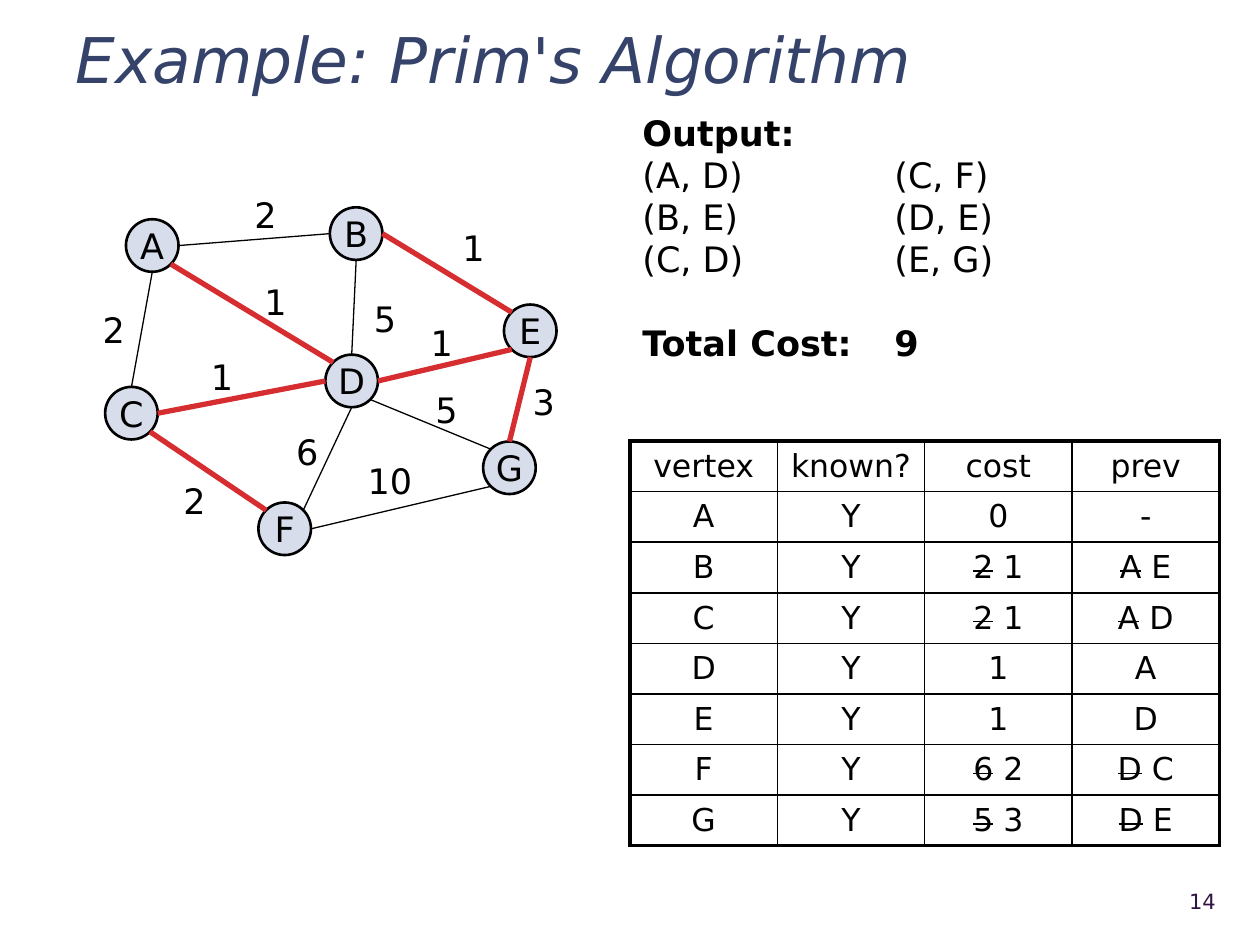
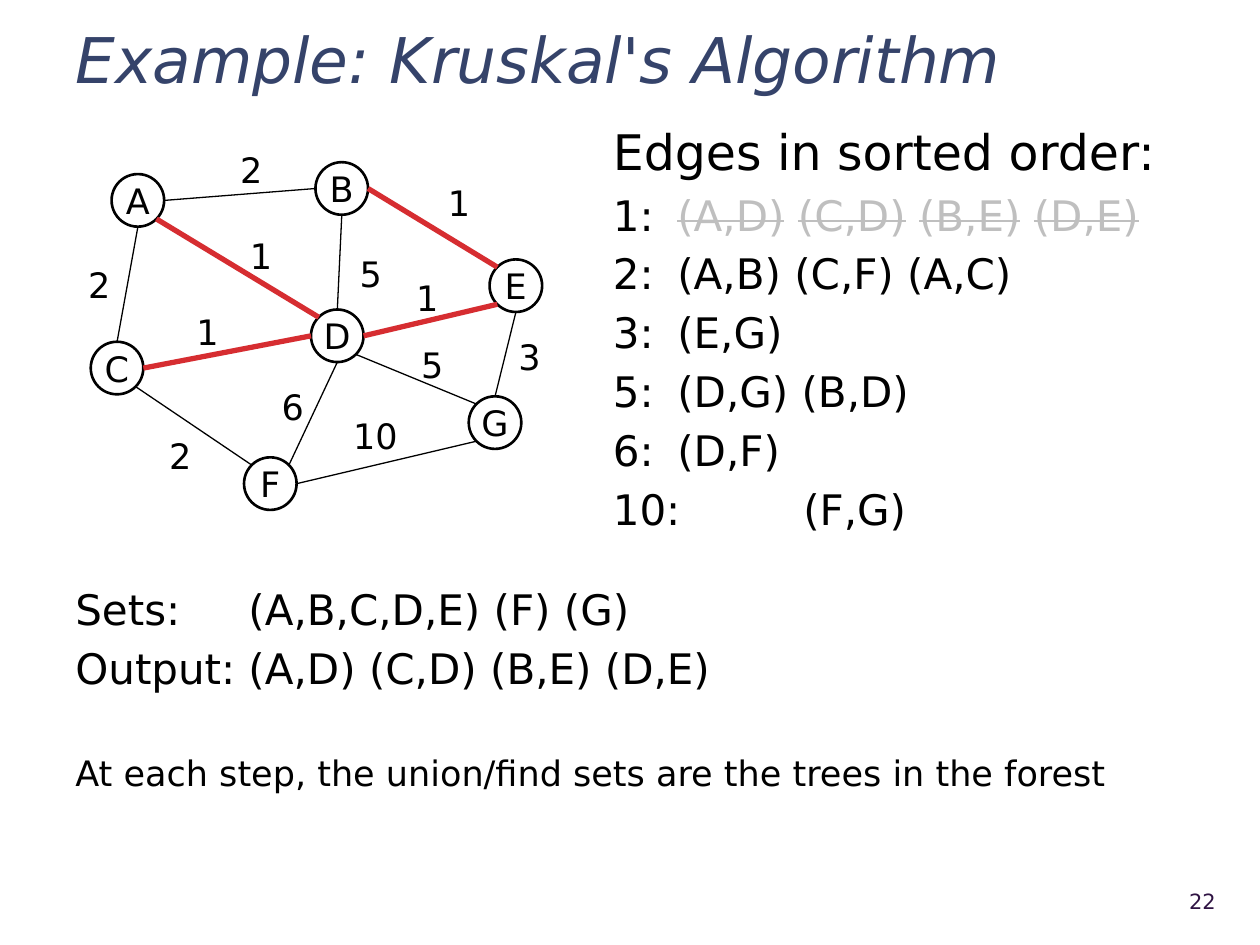
import math

from lxml import etree
from pptx import Presentation
from pptx import util as u
from pptx.dml.color import RGBColor
from pptx.enum import shapes, text
from pptx.oxml.ns import qn

FONT = "DejaVu Sans"
BLACK, TITLE_BLUE, NUMBER_PURPLE = "000000", "35436A", "2F1343"
NODE_BLUE, TREE_RED, DONE_GREY = "D7DDEB", "D62D31", "BFBFBF"
TITLE_ONLY, TITLE_AND_BODY = 5, 1
LEFT, CENTER, RIGHT = text.PP_ALIGN.LEFT, text.PP_ALIGN.CENTER, text.PP_ALIGN.RIGHT

# The weighted graph that both slides show, in cm.
NODE_SIZE = 1.06
NODES = {
    "A": (2.54, 4.42), "B": (6.65, 4.18), "C": (2.12, 7.8), "D": (6.56, 7.15),
    "E": (10.16, 6.14), "F": (5.21, 10.13), "G": (9.74, 8.9),
}
# Edge, circle sites at its ends (0 top, then anticlockwise by 45°), weight, weight position
EDGES = [
    ("AB", 6, 2, 2, (4.88, 3.78)),
    ("AC", 4, 0, 2, (1.82, 6.1)),
    ("AD", 5, 1, 1, (5.08, 5.52)),
    ("BD", 4, 0, 5, (7.29, 5.87)),
    ("BE", 6, 1, 1, (9.07, 4.45)),
    ("CD", 6, 2, 1, (4, 7.04)),
    ("CF", 5, 1, 2, (3.45, 9.55)),
    ("DE", 6, 3, 1, (8.43, 6.35)),
    ("DF", 4, 7, 6, (5.72, 8.56)),
    ("DG", 5, 1, 5, (8.53, 7.7)),
    ("EG", 4, 0, 3, (10.49, 7.54)),
    ("FG", 6, 3, 10, (7.16, 9.14)),
]

# Text between tildes is struck through.
PRIM_ROWS = [
    ("vertex", "known?", "cost", "prev"),
    ("A", "Y", "0", "-"),
    ("B", "Y", "~2~ 1", "~A~ E"),
    ("C", "Y", "~2~ 1", "~A~ D"),
    ("D", "Y", "1", "A"),
    ("E", "Y", "1", "D"),
    ("F", "Y", "~6~ 2", "~D~ C"),
    ("G", "Y", "~5~ 3", "~D~ E"),
]
PRIM_OUTPUT = ["Output:", "(A, D)\t\t(C, F)", "(B, E)\t\t(D, E)", "(C, D)\t\t(E, G)",
               "Total Cost:\t9"]
SORTED_EDGES = [
    "Edges in sorted order:",
    "1:\t~(A,D)~ ~(C,D)~ ~(B,E)~ ~(D,E)~",
    "2:\t(A,B) (C,F) (A,C)",
    "3:\t(E,G)",
    "5:\t(D,G) (B,D)",
    "6:\t(D,F)",
    "10:\t(F,G)",
]
KRUSKAL_STATE = ["Sets:\t(A,B,C,D,E) (F) (G)", "Output:\t(A,D) (C,D) (B,E) (D,E)"]


def rgb(color):
    return RGBColor.from_string(color)


def site_point(left, top, site):
    """Return the place of a numbered connection site on a node's circle."""
    radius, angle = NODE_SIZE / 2, math.radians(45 * site)
    return (u.Cm(left + radius - radius * math.sin(angle)),
            u.Cm(top + radius - radius * math.cos(angle)))


def format_paragraph(paragraph, size, color=BLACK, align=LEFT, bold=False):
    paragraph.alignment = align
    font = paragraph.font
    font.name, font.size, font.bold = FONT, u.Pt(size), bold
    font.color.rgb = rgb(color)
    paragraph._p.get_or_add_pPr().set("defTabSz", str(u.Inches(1)))


def write_struck(paragraph, marked, struck_color=BLACK):
    """Add runs, striking through whatever stands between tildes."""
    for index, piece in enumerate(marked.split("~")):
        if piece:
            run = paragraph.add_run()
            run.text = piece
            if index % 2:
                run.font._element.set("strike", "sngStrike")
                run.font.color.rgb = rgb(struck_color)


def hang(paragraph, indent, size):
    """Give a list line its hanging indent and space, without a bullet."""
    paragraph.space_before = u.Pt(size * 0.2)
    properties = paragraph._p.get_or_add_pPr()
    properties.set("marL", str(u.Cm(indent)))
    properties.set("indent", str(-u.Cm(indent)))
    etree.SubElement(properties, qn("a:buNone"))


def border_cell(cell, widths):
    """Draw the left, right, top and bottom borders, with widths in points."""
    properties = cell._tc.get_or_add_tcPr()
    for side, width in zip("LRTB", widths):
        line = etree.SubElement(properties, qn(f"a:ln{side}"), w=str(u.Pt(width)))
        fill = etree.SubElement(line, qn("a:solidFill"))
        etree.SubElement(fill, qn("a:srgbClr"), val=BLACK)


class Deck:
    def __init__(self):
        self.presentation = Presentation()
        self.presentation.slide_width = u.Cm(25.4)
        self.presentation.slide_height = u.Cm(19.05)
        self.slide = None

    def add_slide(self, layout, title, number):
        self.slide = self.presentation.slides.add_slide(
            self.presentation.slide_layouts[layout])
        frame = self.place(self.slide.shapes.title, 1.27, 0.43, 23.5, 1.35)
        frame.vertical_anchor = text.MSO_ANCHOR.MIDDLE
        paragraph = frame.paragraphs[0]
        paragraph.text = title
        paragraph.line_spacing = 1.1
        format_paragraph(paragraph, 36, TITLE_BLUE)
        paragraph.font.italic = True
        frame = self.add_text([str(number)], (22.58, 17.65, 2.18, 1.02), 12,
                              color=NUMBER_PURPLE, align=RIGHT)
        frame.vertical_anchor = text.MSO_ANCHOR.MIDDLE

    def place(self, placeholder, left, top, width, height):
        placeholder.left, placeholder.top = u.Cm(left), u.Cm(top)
        placeholder.width, placeholder.height = u.Cm(width), u.Cm(height)
        placeholder.text_frame.auto_size = text.MSO_AUTO_SIZE.NONE
        return placeholder.text_frame

    def add_text(self, lines, box, size, wrap=True, **style):
        frame = self.slide.shapes.add_textbox(*map(u.Cm, box)).text_frame
        frame.word_wrap = wrap
        for index, line in enumerate(lines):
            paragraph = frame.add_paragraph() if index else frame.paragraphs[0]
            paragraph.text = line
            format_paragraph(paragraph, size, **style)
        return frame

    def add_list(self, lines, box):
        """Fill the body placeholder: a heading, then hanging lines."""
        frame = self.place(self.slide.placeholders[1], *box)
        for index, line in enumerate(lines):
            paragraph = frame.add_paragraph() if index else frame.paragraphs[0]
            size, indent = (24, 1.3) if index else (28, 0.95)
            write_struck(paragraph, line, DONE_GREY)
            format_paragraph(paragraph, size)
            hang(paragraph, indent, size)

    def add_node(self, name, left, top, fill):
        node = self.slide.shapes.add_shape(
            shapes.MSO_SHAPE.OVAL, *map(u.Cm, (left, top, NODE_SIZE, NODE_SIZE)))
        node.shadow.inherit = False
        if fill:
            node.fill.solid()
            node.fill.fore_color.rgb = rgb(fill)
        else:
            node.fill.background()
        node.line.color.rgb = rgb(BLACK)
        node.line.width = u.Pt(1.5)
        frame = node.text_frame
        frame.word_wrap = False
        frame.vertical_anchor = text.MSO_ANCHOR.MIDDLE
        frame.paragraphs[0].text = name
        format_paragraph(frame.paragraphs[0], 20, align=CENTER)
        return node

    def add_edge(self, start, end, ends, in_tree):
        """Draw a line from one point to another and glue it to (node, site) ends."""
        edge = self.slide.shapes.add_connector(
            shapes.MSO_CONNECTOR.STRAIGHT, *start, *end)
        edge.line.color.rgb = rgb(TREE_RED if in_tree else BLACK)
        edge.line.width = u.Pt(3 if in_tree else 0.75)
        etree.SubElement(edge._element.spPr, qn("a:effectLst"))
        glue = edge._element.nvCxnSpPr.cNvCxnSpPr
        for tag, (node, site) in zip(("a:stCxn", "a:endCxn"), ends):
            etree.SubElement(glue, qn(tag), id=str(node.shape_id), idx=str(site))

    def add_graph(self, tree, fill=None, shift=(0, 0)):
        """Draw the graph with the tree's edges in red."""
        def shifted(point):
            return point[0] + shift[0], point[1] + shift[1]

        places = {name: shifted(point) for name, point in NODES.items()}
        nodes = {name: self.add_node(name, *point, fill)
                 for name, point in places.items()}
        for (first, second), site, other_site, weight, label in EDGES:
            self.add_edge(site_point(*places[first], site),
                          site_point(*places[second], other_site),
                          ((nodes[first], site), (nodes[second], other_site)),
                          first + second in tree)
            width = 0.96 if weight < 10 else 1.42
            self.add_text([str(weight)], (*shifted(label), width, 1.11), 20, wrap=False)

    def add_table(self, rows, left, top, column_width, row_height):
        row_count, column_count = len(rows), len(rows[0])
        table = self.slide.shapes.add_table(
            row_count, column_count, u.Cm(left), u.Cm(top),
            u.Cm(column_width * column_count), u.Cm(row_height * row_count)).table
        table.first_row = table.horz_banding = False
        for row_index, row in enumerate(rows):
            for column_index, content in enumerate(row):
                cell = table.cell(row_index, column_index)
                outer = (column_index == 0, column_index == column_count - 1,
                         row_index == 0, row_index == row_count - 1)
                border_cell(cell, [2.25 if side else 1 for side in outer])
                cell.fill.background()
                cell.vertical_anchor = text.MSO_ANCHOR.MIDDLE
                paragraph = cell.text_frame.paragraphs[0]
                write_struck(paragraph, content)
                format_paragraph(paragraph, 18, align=CENTER)


def add_prim_slide(deck):
    deck.add_slide(TITLE_ONLY, "Example: Prim's Algorithm", 14)
    deck.add_graph({"AD", "BE", "CD", "CF", "DE", "EG"}, fill=NODE_BLUE)
    deck.add_table(PRIM_ROWS, 12.7, 8.89, 2.97, 1.02)
    output = deck.add_text(PRIM_OUTPUT, (12.7, 2.13, 11.68, 5.38), 20).paragraphs
    output[0].font.bold = output[-1].font.bold = True
    output[-1].space_before = u.Pt(24)


def add_kruskal_slide(deck):
    deck.add_slide(TITLE_AND_BODY, "Example: Kruskal's Algorithm", 22)
    deck.add_list(SORTED_EDGES, (12.1, 2.33, 13, 9.32))
    state = deck.add_text(KRUSKAL_STATE, (1.27, 11.64, 19.69, 2.51), 24)
    for paragraph in state.paragraphs:
        hang(paragraph, 0.95, 24)
    deck.add_text(["At each step, the union/find sets are the trees in the forest"],
                  (1.27, 15.03, 21.64, 1.11), 20, wrap=False)
    deck.add_graph({"AD", "BE", "CD", "DE"}, shift=(-0.29, -0.91))


def main():
    deck = Deck()
    add_prim_slide(deck)
    add_kruskal_slide(deck)
    deck.presentation.save("out.pptx")


if __name__ == "__main__":
    main()
